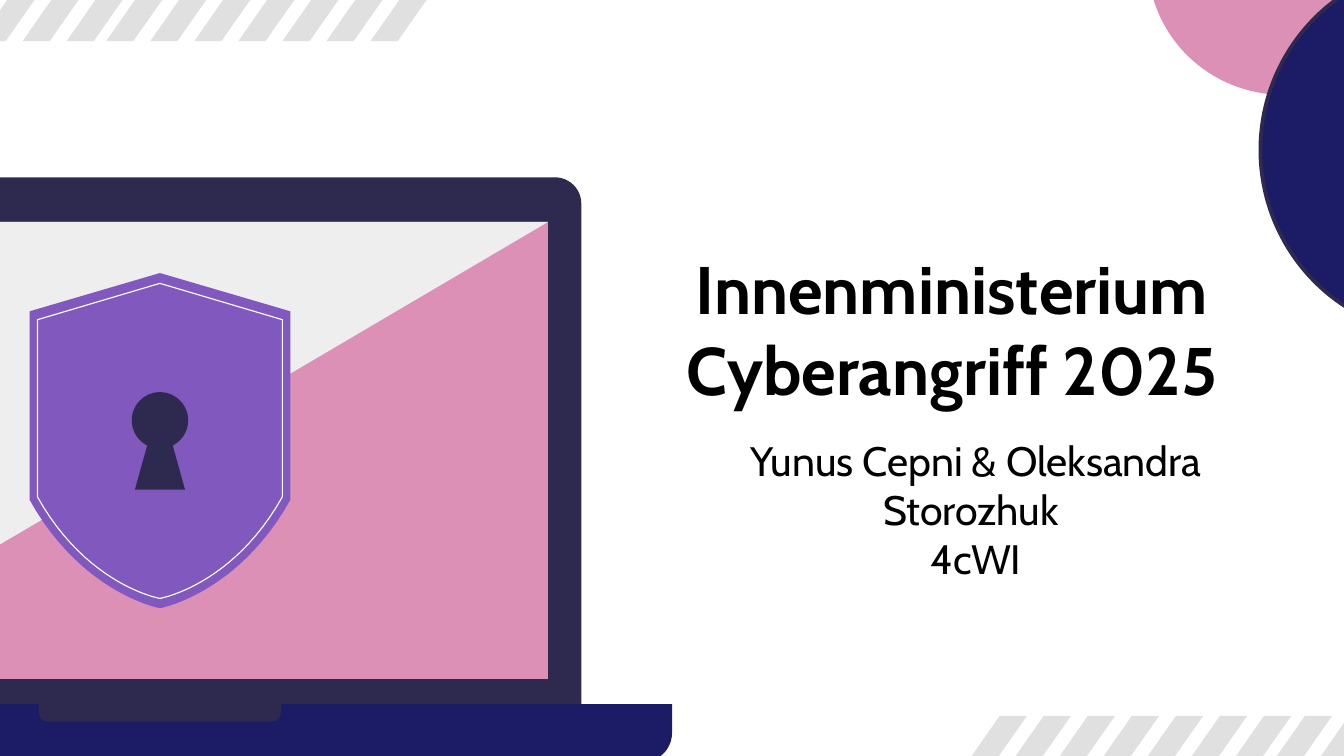
from dataclasses import dataclass
from math import cos, radians, sin

from pptx import Presentation
from pptx import util as u
from pptx.dml.color import RGBColor
from pptx.enum import shapes, text


@dataclass(frozen=True)
class Theme:
    font: str = "Cabin"
    title_size: float = 36
    subtitle_size: float = 22
    ink: str = "000000"
    dark: str = "2E294E"
    navy: str = "1C1C66"
    pink: str = "DD90B6"
    purple: str = "8058BE"
    pale: str = "EEEEEE"
    stripe: str = "E0E0E0"
    white: str = "FCFCFC"


class SlideBuilder:
    """Draws on one slide; all lengths are in points."""

    def __init__(self, slide, theme):
        self.slide, self.theme = slide, theme
        self.target = slide.shapes

    def group(self):
        self.target = self.slide.shapes.add_group_shape().shapes

    def end_group(self):
        self.target = self.slide.shapes

    def style(self, shape, fill=None, line=None, width=1):
        shape.shadow.inherit = False
        if fill:
            shape.fill.solid()
            shape.fill.fore_color.rgb = RGBColor.from_string(fill)
        else:
            shape.fill.background()
        if line:
            shape.line.color.rgb = RGBColor.from_string(line)
            shape.line.width = u.Pt(width)
        else:
            shape.line.fill.background()

    def preset(self, kind, box, adjust=(), **look):
        shape = self.target.add_shape(kind, *map(u.Pt, box))
        for i, value in enumerate(adjust):
            shape.adjustments[i] = value
        self.style(shape, **look)

    def outline(self, points, **look):
        start, *rest = [(u.Pt(x), u.Pt(y)) for x, y in points]
        builder = self.target.build_freeform(*start)
        builder.add_line_segments(rest, close=True)
        self.style(builder.convert_to_shape(), **look)

    def stripes(self, left, top, count):
        width, height, pitch = 38.2, 33.8, 23.6
        for i in range(count):
            self.preset(shapes.MSO_SHAPE.PARALLELOGRAM,
                        (left + i * pitch, top, width, height),
                        (0.7,), fill=self.theme.stripe)

    def text(self, box, content, size, bold=False, anchor=text.MSO_ANCHOR.TOP):
        frame = self.target.add_textbox(*map(u.Pt, box)).text_frame
        frame.word_wrap = True
        frame.vertical_anchor = anchor
        frame.margin_left = frame.margin_right = u.Pt(7.2)
        frame.margin_top = frame.margin_bottom = u.Pt(7.2)
        frame.text = content
        for paragraph in frame.paragraphs:
            paragraph.alignment = text.PP_ALIGN.CENTER
            for run in paragraph.runs:
                run.font.name = self.theme.font
                run.font.size = u.Pt(size)
                run.font.bold = bold
                run.font.color.rgb = RGBColor.from_string(self.theme.ink)


def curve(p0, p1, p2, p3, steps=24):
    """Points along a cubic Bezier curve."""
    points = []
    for i in range(steps + 1):
        t = i / steps
        weights = ((1 - t) ** 3, 3 * t * (1 - t) ** 2, 3 * t * t * (1 - t), t ** 3)
        points.append(tuple(sum(w * p[axis] for w, p in zip(weights, (p0, p1, p2, p3)))
                            for axis in (0, 1)))
    return points


def shield(center, half, top, shoulder, hip, bend, pull, tip):
    """Shield outline, symmetric about a vertical axis."""
    left_side = [(-half, shoulder)] + curve(
        (-half, hip), (-pull, bend), (0, tip), (0, tip))
    right_side = [(-x, y) for x, y in reversed(left_side)]
    return [(center + x, y) for x, y in [(0, top)] + left_side + right_side[1:]]


def keyhole(center, middle, radius):
    """Round head, open at the bottom, above a flared foot."""
    head = [(center + radius * cos(radians(a)), middle + radius * sin(radians(a)))
            for a in range(116, 425, 6)]
    foot = [(center + 6.8, 238.5), (center + 13.4, 262.3),
            (center - 13.4, 262.3), (center - 6.8, 238.5)]
    return head + foot


def main():
    deck = Presentation()
    deck.slide_width, deck.slide_height = u.Pt(720), u.Pt(405)
    theme = Theme()
    page = SlideBuilder(deck.slides.add_slide(deck.slide_layouts[6]), theme)
    kinds = shapes.MSO_SHAPE

    # Title and authors
    page.text((298, 113.8, 424, 112.3), "Innenministerium Cyberangriff 2025",
              theme.title_size, bold=True, anchor=text.MSO_ANCHOR.BOTTOM)
    page.text((382.3, 226.1, 280.8, 62.6),
              "Yunus Cepni & Oleksandra Storozhuk \n4cWI", theme.subtitle_size)

    # Laptop: lid, screen, base, notch, screen reflection
    page.group()
    rounded = kinds.ROUND_2_SAME_RECTANGLE
    page.preset(rounded, (-140.4, 95, 451.8, 282.3), (0.05, 0), fill=theme.dark)
    page.preset(kinds.RECTANGLE, (-122.4, 118.9, 416, 244.8), fill=theme.pink)
    page.preset(rounded, (-188.6, 377.2, 548.6, 31), (0, 0.5), fill=theme.navy)
    page.preset(rounded, (20.9, 377.2, 129.6, 9.4), (0, 0.5), fill=theme.dark)
    page.outline([(-122.4, 118.9), (-122.4, 363.7), (293.6, 118.9)], fill=theme.pale)

    # Shield with inner rim and keyhole
    axis = 85.7
    page.outline(shield(axis, 69.8, 146.3, 166.8, 267.9, 318.2, 41.8, 325.9),
                 fill=theme.purple)
    page.outline(shield(axis, 65.6, 151.8, 171.3, 266.2, 313.9, 38.9, 320.6),
                 line=theme.white, width=0.61)
    page.outline(keyhole(axis, 225.2, 15.1), fill=theme.dark)
    page.end_group()

    # Slanted stripes, top left and bottom right
    for left, top, count in ((-11.5, -11.7, 3), (56.9, -11.7, 7),
                             (511.9, 383.6, 7), (675.4, 383.6, 2)):
        page.stripes(left, top, count)

    # Corner circles
    page.preset(kinds.OVAL, (614.9, -92.5, 145.4, 143.3), fill=theme.pink)
    page.preset(kinds.OVAL, (675.2, -19.4, 198, 199.4),
                fill=theme.navy, line=theme.dark, width=2)

    deck.save("out.pptx")


if __name__ == "__main__":
    main()
